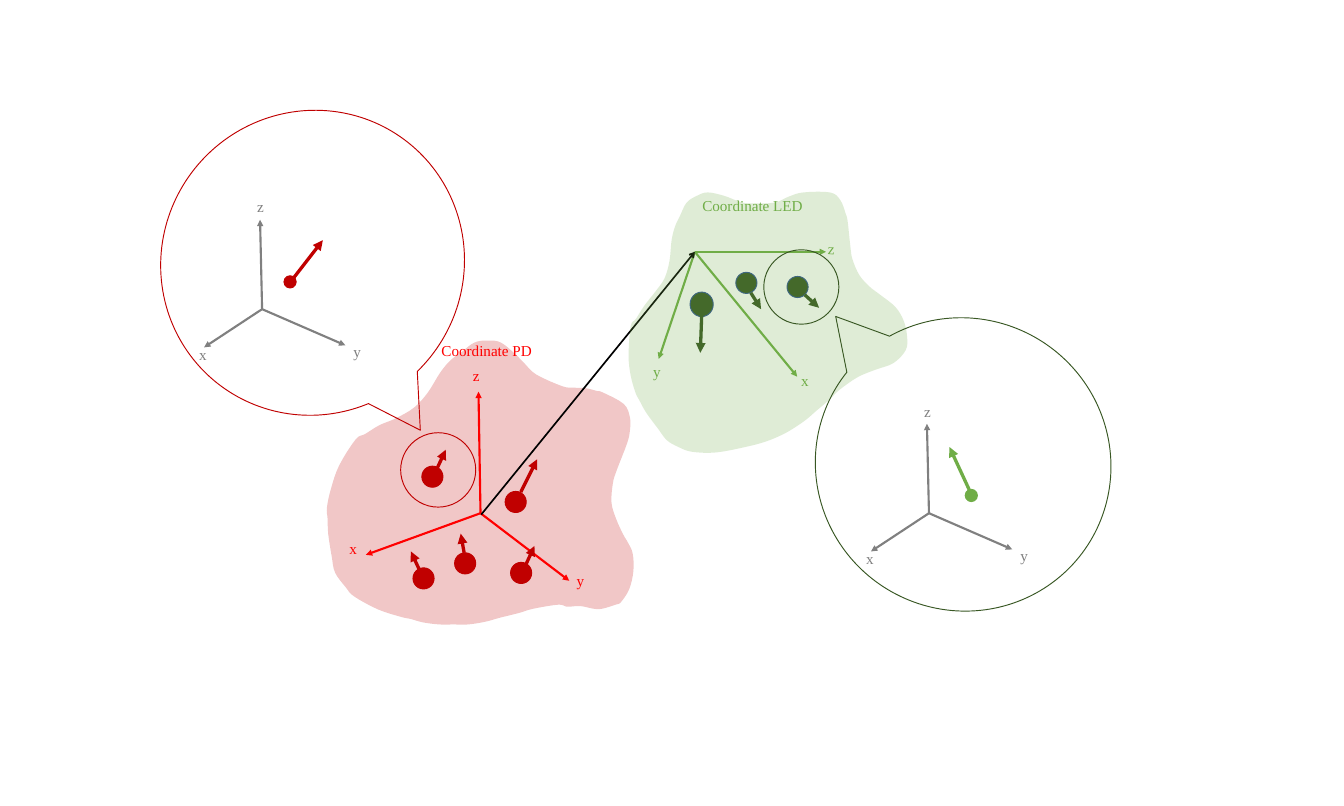
from lxml import etree
from pptx import Presentation
from pptx.dml.color import RGBColor
from pptx.enum.shapes import MSO_CONNECTOR, MSO_SHAPE
from pptx.enum.text import MSO_AUTO_SIZE
from pptx.oxml.ns import qn
from pptx.util import Pt

PX = 9144
STRAIGHT = MSO_CONNECTOR.STRAIGHT
ELLIPSE = MSO_SHAPE.OVAL
CALLOUT = MSO_SHAPE.OVAL_CALLOUT
FIT = MSO_AUTO_SIZE.SHAPE_TO_FIT_TEXT

RED = RGBColor(0xFF, 0x00, 0x00)
DARK_RED = RGBColor(0xC0, 0x00, 0x00)
GREEN = RGBColor(0x70, 0xAD, 0x47)
DARK_GREEN = RGBColor(0x38, 0x57, 0x23)
NAVY = RGBColor(0x32, 0x54, 0x91)
GRAY = RGBColor(0x80, 0x80, 0x80)
BLACK = RGBColor(0x00, 0x00, 0x00)

PD_BODY = [
    (755, 519), (768, 532), (786, 549), (824, 566), (840, 568), (859, 569),
    (875, 573), (883, 575), (914, 592), (923, 612), (923, 630), (919, 649),
    (904, 688), (898, 708), (896, 737), (903, 761), (913, 783), (920, 795),
    (927, 811), (928, 837), (922, 863), (910, 882), (902, 886), (882, 892),
    (870, 892), (850, 888), (831, 889), (818, 886), (781, 892), (761, 898),
    (733, 905), (711, 911), (686, 915), (665, 915), (644, 915), (620, 912),
    (602, 907), (588, 904), (554, 893), (519, 874), (507, 861), (491, 839),
    (486, 815), (481, 783), (480, 760), (479, 744), (485, 716), (497, 682),
    (521, 644), (535, 636), (556, 623), (580, 613), (607, 597), (627, 575),
    (645, 546), (660, 528), (675, 517), (695, 502), (715, 499), (734, 502),
]
LED_BODY = [
    (1061, 287), (1082, 295), (1097, 298), (1134, 297), (1156, 288),
    (1177, 282), (1216, 282), (1231, 293), (1239, 313), (1242, 325),
    (1246, 362), (1249, 380), (1259, 403), (1274, 420), (1291, 433),
    (1312, 450), (1324, 470), (1329, 493), (1327, 513), (1309, 532),
    (1282, 542), (1256, 553), (1229, 572), (1216, 585), (1196, 602),
    (1181, 615), (1162, 628), (1146, 637), (1122, 647), (1092, 655),
    (1049, 663), (1014, 662), (994, 655), (977, 645), (964, 628),
    (947, 605), (937, 587), (931, 575), (924, 550), (921, 521),
    (924, 478), (932, 467), (944, 448), (962, 425), (974, 407),
    (981, 382), (984, 352), (989, 332), (996, 317), (1006, 297),
    (1021, 287), (1037, 282),
]

PD_AXES = [("z", (-3, -178), (-21, -220)),
           ("y", (130, 99), (131, 81)),
           ("x", (-168, 61), (-202, 33))]
LED_AXES = [("z", (192, 0), (185, -22)),
            ("x", (150, 183), (146, 170)),
            ("y", (-53, 157), (-71, 157))]
LOCAL_AXES = [("z", (-3, -131), (-17, -168)),
              ("y", (122, 53), (124, 44)),
              ("x", (-85, 56), (-102, 48))]

LEDS = [((1153, 405, 31, 31), (1179, 432), (1200, 451)),
        ((1011, 428, 34, 36), (1028, 462), (1026, 517)),
        ((1078, 399, 31, 31), (1100, 429), (1115, 453))]
PDS = [((748, 824, 31, 31), (771, 826), (783, 800)),
       ((666, 810, 31, 31), (680, 810), (675, 782)),
       ((740, 720, 31, 31), (763, 721), (787, 673)),
       ((618, 683, 31, 31), (641, 685), (653, 659)),
       ((605, 832, 31, 31), (614, 834), (602, 808))]


def emu(values):
    return [round(v * PX) for v in values]


def smooth(points, steps=4):
    n = len(points)
    for i in range(n):
        p0, p1, p2, p3 = (points[(i + k) % n] for k in (-1, 0, 1, 2))
        for step in range(steps):
            t = step / steps
            yield [(2 * b + (c - a) * t + (2 * a - 5 * b + 4 * c - d) * t ** 2
                    + (3 * b - a - 3 * c + d) * t ** 3) / 2
                   for a, b, c, d in zip(p0, p1, p2, p3)]


def add_body(s, points, color):
    start, *rest = [emu(p) for p in smooth(points)]
    builder = s.shapes.build_freeform(*start)
    builder.add_line_segments(rest, close=True)
    sp = builder.convert_to_shape()
    sp.shadow.inherit = False
    sp.fill.solid()
    sp.fill.fore_color.rgb = color
    clr = sp.element.spPr.find(".//" + qn("a:srgbClr"))
    etree.SubElement(clr, qn("a:alpha")).set("val", "22000")
    sp.line.fill.background()


def add_arrow(s, start, end, color, width, head="triangle"):
    line = s.shapes.add_connector(STRAIGHT, *emu(start + end))
    line.line.color.rgb = color
    line.line.width = Pt(width)
    spPr = line.element.spPr
    etree.SubElement(spPr.find(qn("a:ln")), qn("a:tailEnd")).set("type", head)
    etree.SubElement(spPr, qn("a:effectLst"))


def add_label(s, text, box, color):
    tb = s.shapes.add_textbox(*emu(box))
    tf = tb.text_frame
    tf.word_wrap = True
    tf.auto_size = FIT
    p = tf.paragraphs[0]
    p.text = text
    p.font.name = "Times New Roman"
    p.font.size = Pt(16)
    p.font.color.rgb = color
    return tb


def add_outline(s, kind, box, line, fill=None, rotation=0):
    sp = s.shapes.add_shape(kind, *emu(box))
    sp.shadow.inherit = False
    sp.rotation = rotation
    if fill is None:
        sp.fill.background()
    else:
        sp.fill.solid()
        sp.fill.fore_color.rgb = fill
    sp.line.color.rgb = line
    sp.line.width = Pt(1)


def add_axes(s, origin, axes, color):
    x, y = origin
    labels = {}
    for name, (dx, dy), (label_dx, label_dy) in axes:
        add_arrow(s, origin, (x + dx, y + dy), color, 2.25)
        labels[name] = add_label(s, name, (x + label_dx, y + label_dy, 44, 37), color)
    return labels


def add_device(s, box, start, tip, color, line):
    add_outline(s, ELLIPSE, box, line, color)
    add_arrow(s, start, tip, color, 3.5)


def main():
    prs = Presentation()
    prs.slide_width, prs.slide_height = emu((1969, 1181))
    s = prs.slides.add_slide(prs.slide_layouts[6])

    add_body(s, PD_BODY, DARK_RED)
    add_axes(s, (704, 752), PD_AXES, RED)
    led_labels = add_axes(s, (1018, 369), LED_AXES, GREEN)
    led_labels["z"].rotation = 3.6
    add_arrow(s, (705, 754), (1018, 369), BLACK, 1.75, "arrow")
    add_label(s, "Coordinate LED", (1019, 283, 235, 37), GREEN)
    add_label(s, "Coordinate PD", (637, 496, 174, 37), RED)
    for led in LEDS:
        add_device(s, *led, DARK_GREEN, NAVY)
    for pd in PDS:
        add_device(s, *pd, DARK_RED, DARK_RED)
    add_body(s, LED_BODY, GREEN)

    add_device(s, (416, 404, 18, 18), (428, 410), (473, 352), DARK_RED, DARK_RED)
    add_axes(s, (384, 453), LOCAL_AXES, GRAY)
    add_device(s, (1414, 717, 18, 18), (1422, 722), (1391, 655), GREEN, GREEN)
    add_axes(s, (1361, 752), LOCAL_AXES, GRAY)

    add_outline(s, ELLIPSE, (1119, 366, 110, 109), DARK_GREEN)
    add_outline(s, ELLIPSE, (587, 634, 110, 109), DARK_RED)
    add_outline(s, CALLOUT, (1197, 463, 428, 435), DARK_GREEN, rotation=121.1)
    add_outline(s, CALLOUT, (233, 164, 450, 442), DARK_RED, rotation=308.5)
    prs.save("out.pptx")


if __name__ == "__main__":
    main()
